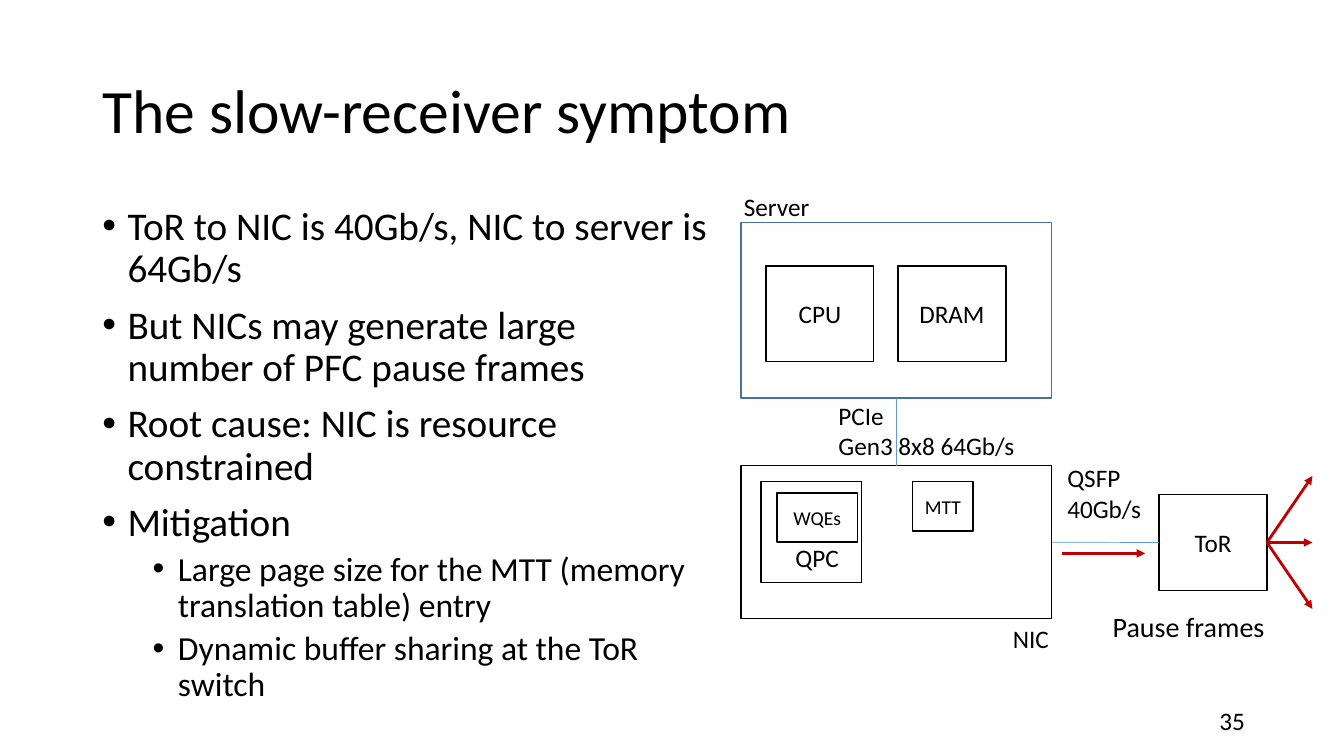
from lxml.etree import SubElement
from pptx import Presentation
from pptx.dml.color import RGBColor
from pptx.enum.shapes import MSO_CONNECTOR, MSO_SHAPE
from pptx.enum.text import MSO_ANCHOR, PP_ALIGN
from pptx.oxml.ns import qn
from pptx.util import Pt

TOP, LEFT, BOTTOM, RIGHT = range(4)


def color(code):
    return RGBColor.from_string(code)


def write(frame, text, size=18, align=PP_ALIGN.LEFT, anchor=MSO_ANCHOR.TOP,
          wrap=False, font="Calibri", ink="000000", spacing=None):
    """Fill a text frame, one paragraph per line of text."""
    frame.word_wrap = wrap
    frame.vertical_anchor = anchor
    for i, line in enumerate(text.split("\n")):
        para = frame.add_paragraph() if i else frame.paragraphs[0]
        para.alignment = align
        para.line_spacing = spacing
        run = para.add_run()
        run.text = line
        run.font.size = Pt(size)
        run.font.name = font
        run.font.color.rgb = color(ink)


class Deck:
    black, white = "000000", "FFFFFF"
    edge, link, red = "43739E", "5B9BD5", "C00000"

    def __init__(self):
        self.file = Presentation()
        self.file.slide_width, self.file.slide_height = Pt(960), Pt(540)
        self.slide = self.file.slides.add_slide(self.file.slide_layouts[6])

    def label(self, text, x, y, w, h, **style):
        box = self.slide.shapes.add_textbox(Pt(x), Pt(y), Pt(w), Pt(h))
        write(box.text_frame, text, **style)
        return box

    def bullets(self, items, x, y, w, h):
        """Add a list of (level, text) items."""
        text = "\n".join(item for _, item in items)
        box = self.label(text, x, y, w, h, wrap=True, spacing=0.9)
        for (level, _), para in zip(items, box.text_frame.paragraphs):
            para.level = level
            para.space_before = Pt(5 if level else 10)
            para.runs[0].font.size = Pt(24 if level else 28)
            props = para._p.get_or_add_pPr()
            props.set("marL", str(Pt(18 + 36 * level)))
            props.set("indent", str(Pt(-18)))
            SubElement(props, qn("a:buFont"), typeface="Arial")
            SubElement(props, qn("a:buChar"), char="•")

    def block(self, x, y, w, h, text="", size=18, line=black):
        box = self.slide.shapes.add_shape(
            MSO_SHAPE.RECTANGLE, Pt(x), Pt(y), Pt(w), Pt(h))
        box.shadow.inherit = False
        box.fill.solid()
        box.fill.fore_color.rgb = color(self.white)
        box.line.color.rgb = color(line)
        box.line.width = Pt(1)
        if text:
            write(box.text_frame, text, size=size, wrap=True,
                  align=PP_ALIGN.CENTER, anchor=MSO_ANCHOR.MIDDLE)
        return box

    def wire(self, start=(0, 0), end=(0, 0), tie=None, join=None,
             line=link, width=0.5, arrow=False):
        """Draw a line; tie and join are (shape, side) for its two ends."""
        wire = self.slide.shapes.add_connector(
            MSO_CONNECTOR.STRAIGHT, *map(Pt, start + end))
        if tie:
            wire.begin_connect(*tie)
        if join:
            wire.end_connect(*join)
        wire.line.color.rgb = color(line)
        wire.line.width = Pt(width)
        if arrow:
            SubElement(wire.line._get_or_add_ln(), qn("a:tailEnd"), type="triangle")
        SubElement(wire._element.spPr, qn("a:effectLst"))

    def arrow(self, start, end, tie=None):
        self.wire(start, end, tie=tie, line=self.red, width=2, arrow=True)


def main():
    deck = Deck()
    deck.label("35", 864, 500.4, 36, 28.8)
    deck.label("The slow-receiver symptom", 66, 28.75, 828, 104.4, size=44,
               wrap=True, anchor=MSO_ANCHOR.MIDDLE, spacing=0.9)
    deck.bullets([
        (0, "ToR to NIC is 40Gb/s, NIC to server is 64Gb/s"),
        (0, "But NICs may generate large number of PFC pause frames"),
        (0, "Root cause: NIC is resource constrained"),
        (0, "Mitigation"),
        (1, "Large page size for the MTT (memory translation table) entry"),
        (1, "Dynamic buffer sharing at the ToR switch"),
    ], 66, 144, 447, 373.7)

    server = deck.block(529.2, 159.1, 222, 125.3, line=deck.edge)
    for i, part in enumerate(("CPU", "DRAM")):
        deck.block(547.2 + 94.3 * i, 190, 77, 68.4, part)
    nic = deck.block(529.2, 332.6, 222, 109.4)
    tor = deck.block(828, 353.3, 77, 68.4, "ToR")
    deck.wire(tie=(nic, RIGHT), join=(tor, LEFT))
    deck.wire(tie=(nic, TOP), join=(server, BOTTOM))

    deck.block(652, 344, 43.2, 35.3, "MTT", size=14)
    deck.block(543.6, 344, 72, 72)
    deck.block(555, 352, 57.6, 35.3, "WQEs", size=14)

    for text, x, y, w, h in (
        ("QSFP\n40Gb/s", 755.3, 326.9, 67.7, 51),
        ("PCIe\nGen3 8x8 64Gb/s", 591.8, 282.2, 141.8, 51),
        ("QPC", 561, 383.8, 46, 28.8),
        ("NIC", 716.4, 441.4, 40.3, 28.8),
        ("Server", 524.2, 133.2, 62, 28.8),
    ):
        deck.label(text, x, y, w, h)

    deck.arrow((758.9, 395.3), (818, 395.3))
    for rise in (-47.5, 47.5, 0):
        deck.arrow((905, 387.5), (937.5, 387.5 + rise), tie=(tor, RIGHT))
    deck.label("Pause frames", 787.7, 432, 124.6, 31.7, size=20)

    deck.file.save("out.pptx")


if __name__ == "__main__":
    main()
